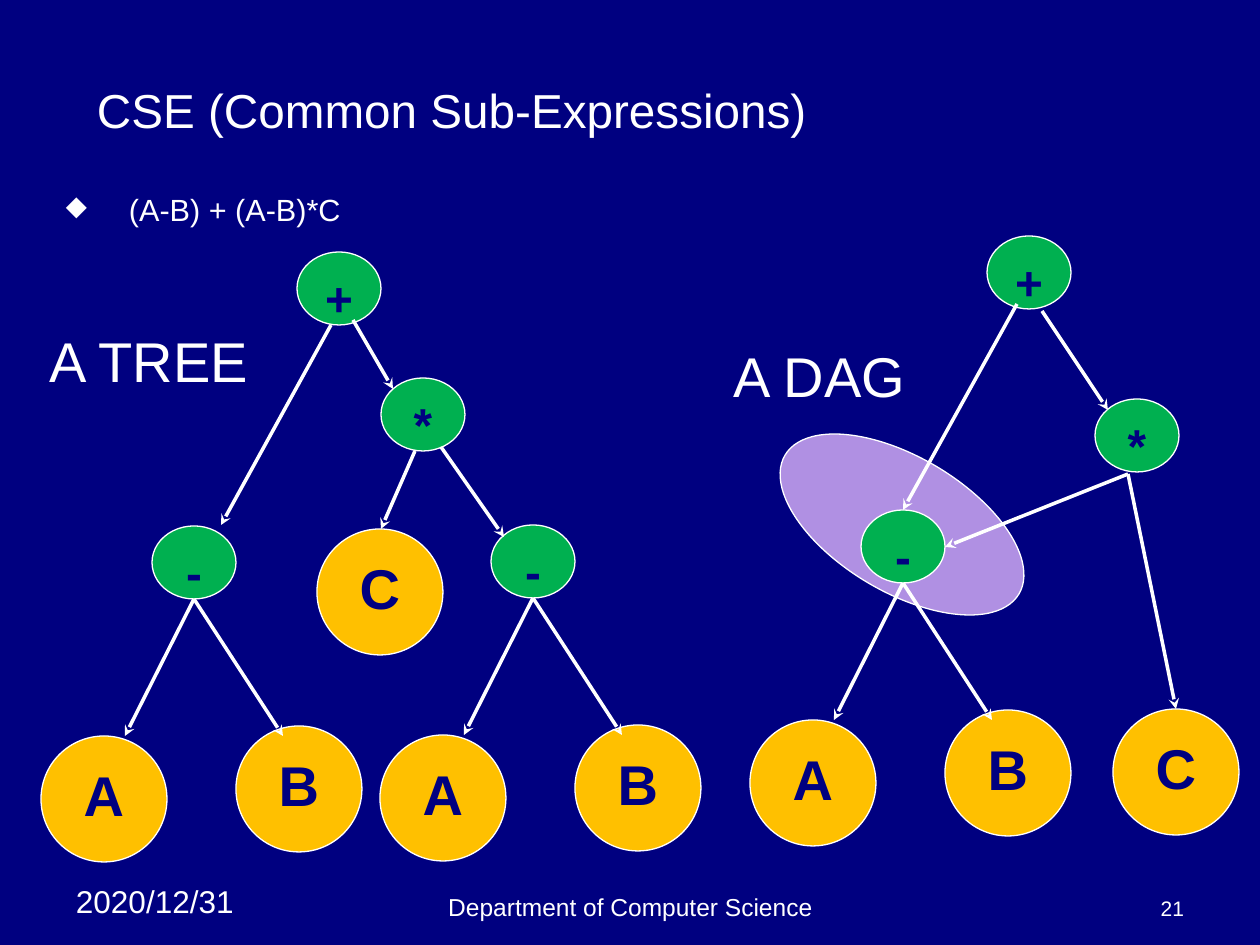
from lxml import etree
from pptx import Presentation
from pptx.dml.color import RGBColor
from pptx.enum.shapes import MSO_CONNECTOR, MSO_SHAPE
from pptx.enum.text import MSO_ANCHOR, MSO_AUTO_SIZE, PP_ALIGN
from pptx.oxml.ns import qn
from pptx.util import Emu, Pt

NAVY = RGBColor(0x00, 0x00, 0x80)
WHITE = RGBColor(0xFF, 0xFF, 0xFF)
GREEN = RGBColor(0x00, 0xB0, 0x50)
AMBER = RGBColor(0xFF, 0xC0, 0x00)
LILAC = RGBColor(0xB0, 0x90, 0xE3)

ELLIPSE = MSO_SHAPE.OVAL
STRAIGHT = MSO_CONNECTOR.STRAIGHT
TOP, MIDDLE, BOTTOM = MSO_ANCHOR.TOP, MSO_ANCHOR.MIDDLE, MSO_ANCHOR.BOTTOM
LEFT, CENTER, RIGHT = PP_ALIGN.LEFT, PP_ALIGN.CENTER, PP_ALIGN.RIGHT
NO_FIT = MSO_AUTO_SIZE.NONE

PX_PER_INCH = 126
FONT = "Arial"
LEAF_SIZE = 126
OP_W, OP_H = 84, 73


def px(n):
    return Emu(round(n * 914400 / PX_PER_INCH))


def assign(target, values):
    for name, value in values.items():
        setattr(target, name, value)


class Slide:
    frame = {"word_wrap": True, "auto_size": NO_FIT,
             "margin_left": px(13), "margin_right": px(13),
             "margin_top": px(6), "margin_bottom": px(6)}

    def __init__(self, prs):
        self.s = prs.slides.add_slide(prs.slide_layouts[5])
        self.s.background.fill.solid()
        self.s.background.fill.fore_color.rgb = NAVY

    def label(self, sp, text, size, color=WHITE, bold=False, align=LEFT, anchor=TOP):
        tf = sp.text_frame
        assign(tf, self.frame | {"vertical_anchor": anchor})
        p = tf.paragraphs[0]
        p.alignment = align
        r = p.add_run()
        r.text = text
        assign(r.font, {"name": FONT, "size": Pt(size), "bold": bold})
        r.font.color.rgb = color
        return p

    def title(self, text, x, y, w, h, size):
        sp = self.s.shapes.title
        assign(sp, {"left": px(x), "top": px(y), "width": px(w), "height": px(h)})
        self.label(sp, text, size, anchor=MIDDLE)

    def text(self, text, x, y, w, h, size, **style):
        sp = self.s.shapes.add_textbox(px(x), px(y), px(w), px(h))
        return self.label(sp, text, size, **style)

    def bullet(self, text, x, y, w, h, size):
        p = self.text(text, x, y, w, h, size)
        pPr = p._p.get_or_add_pPr()
        pPr.set("marL", str(px(63)))
        pPr.set("indent", str(-px(63)))
        color = etree.SubElement(pPr, qn("a:buClr"))
        etree.SubElement(color, qn("a:srgbClr"), val=str(WHITE))
        etree.SubElement(pPr, qn("a:buSzPct"), val="90000")
        etree.SubElement(pPr, qn("a:buChar"), char="◆")

    def ellipse(self, x, y, w, h, fill, rotation=0):
        sp = self.s.shapes.add_shape(ELLIPSE, px(x), px(y), px(w), px(h))
        sp.shadow.inherit = False
        sp.rotation = rotation
        sp.fill.solid()
        sp.fill.fore_color.rgb = fill
        sp.line.color.rgb = WHITE
        sp.line.width = Pt(0.75)
        return sp

    def leaf(self, text, x, y):
        sp = self.ellipse(x, y, LEAF_SIZE, LEAF_SIZE, AMBER)
        self.label(sp, text, 32, NAVY, True, CENTER)

    def operator(self, text, x, y):
        sp = self.ellipse(x, y, OP_W, OP_H, GREEN)
        self.label(sp, text, 27.2, NAVY, True, CENTER)

    def arrow(self, x1, y1, x2, y2):
        cx = self.s.shapes.add_connector(STRAIGHT, px(x1), px(y1), px(x2), px(y2))
        cx.line.color.rgb = WHITE
        cx.line.width = Pt(2)
        spPr = cx._element.spPr
        etree.SubElement(spPr.find(qn("a:ln")), qn("a:tailEnd"), type="stealth")
        etree.SubElement(spPr, qn("a:effectLst"))

    def difference(self, x, y):
        self.leaf("A", x - 111, y + 210)
        self.leaf("B", x + 84, y + 200)
        self.operator("-", x, y)
        for dx in (-27, 131):
            self.arrow(x + OP_W // 2, y + OP_H, x + dx, y + 210)


def main():
    prs = Presentation()
    assign(prs, {"slide_width": px(1260), "slide_height": px(945)})
    s = Slide(prs)

    s.title("CSE (Common Sub-Expressions)", 84, 73, 1071, 73, 27.2)
    s.bullet("(A-B) + (A-B)*C", 53, 185, 1144, 88, 17.5)
    s.text("2020/12/31", 63, 876, 199, 50, 18)
    s.text("Department of Computer Science", 431, 861, 399, 66, 14,
           align=CENTER, anchor=BOTTOM)
    s.text("21", 903, 861, 294, 66, 12, align=RIGHT, anchor=BOTTOM)

    s.ellipse(766, 457, 272, 135, LILAC, 30.7)
    for x, y in ((152, 526), (491, 525), (861, 510)):
        s.difference(x, y)
    for x, y in ((317, 529), (1113, 709)):
        s.leaf("C", x, y)
    for sign, x, y in (("*", 381, 378), ("+", 297, 252),
                       ("*", 1095, 399), ("+", 987, 236)):
        s.operator(sign, x, y)

    tree_arrows = [(415, 451, 381, 529), (441, 447, 504, 537),
                   (353, 320, 393, 389), (331, 325, 221, 525)]
    dag_arrows = [(1128, 474, 945, 547), (1128, 474, 1176, 709),
                  (1017, 304, 903, 510), (1042, 311, 1108, 410)]
    for ends in tree_arrows + dag_arrows:
        s.arrow(*ends)

    s.text("A TREE", 37, 320, 227, 81, 32)
    s.text("A DAG", 721, 336, 199, 81, 32)

    prs.save("out.pptx")


if __name__ == "__main__":
    main()
